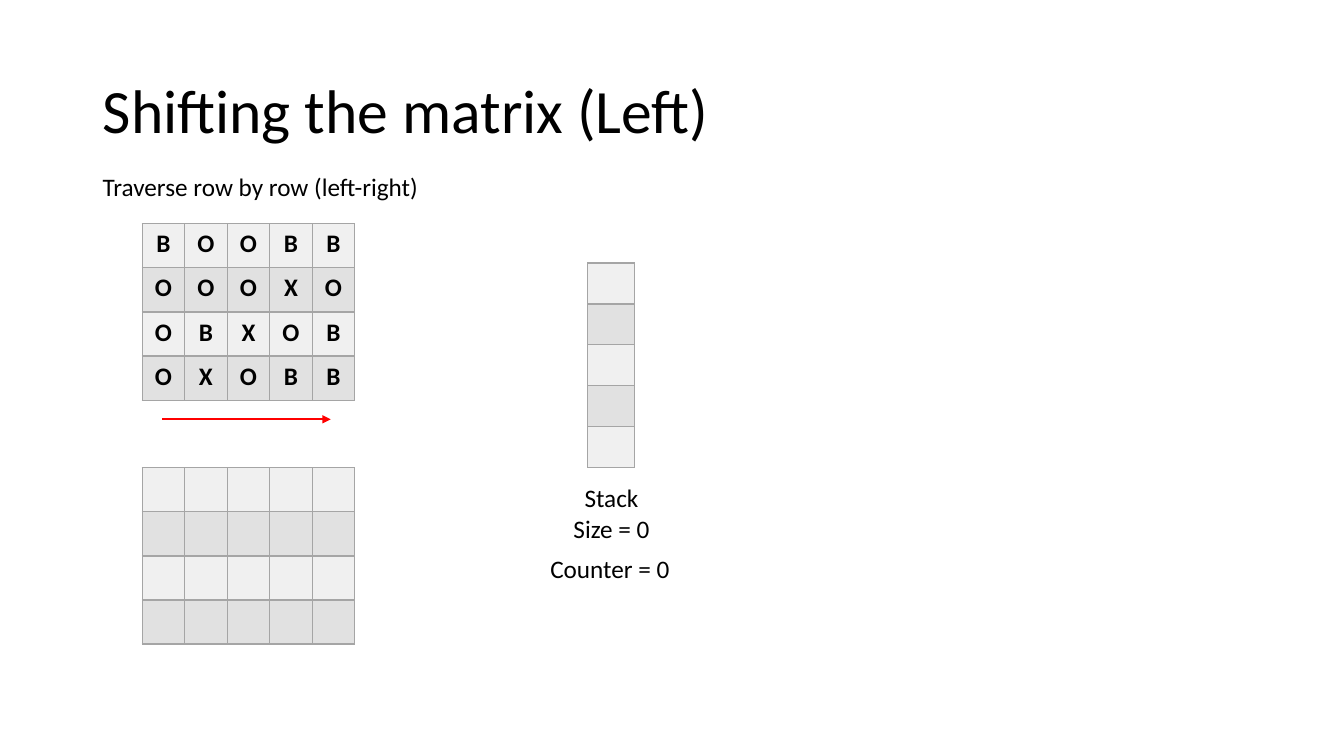
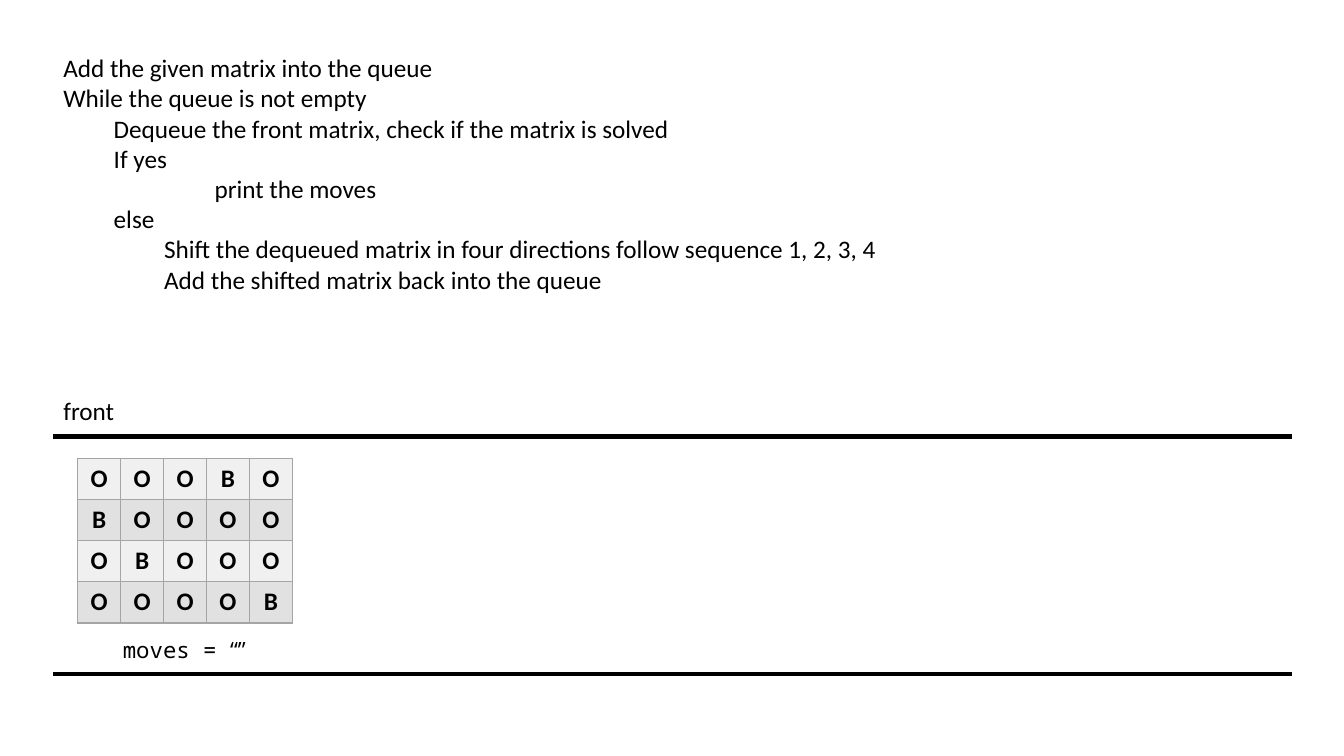
from dataclasses import dataclass

from lxml import etree
from pptx import Presentation
from pptx.dml.color import RGBColor
from pptx.enum import shapes, text
from pptx.oxml import ns
from pptx.slide import Slide
from pptx.util import Inches, Pt

BODY_FONT = "Calibri"
MONO_FONT = "Noto Sans Mono"
QUOTE_FONT = "Open Sans"
INK = "000000"
GRID = "A5A5A5"
BANDS = ("F0F0F0", "E1E1E1")
RED = "FF0000"
INDENT = 0.5
EMPTY_MATRIX = (" " * 5,) * 4


@dataclass(frozen=True)
class Span:
    words: str
    size: float = 18
    font: str = BODY_FONT
    bold: bool = False


@dataclass(frozen=True)
class Line:
    spans: tuple[Span, ...]
    level: int = 0


@dataclass(frozen=True)
class Note:
    left: float
    top: float
    width: float
    height: float
    lines: tuple[Line, ...]
    centred: bool = False


@dataclass(frozen=True)
class Matrix:
    left: float
    top: float
    width: float
    height: float
    rows: tuple[str, ...]


@dataclass(frozen=True)
class Rule:
    left: float
    right: float
    y: float
    colour: str
    weight: float
    arrow: bool = False


def rgb(colour: str) -> RGBColor:
    return RGBColor.from_string(colour)


def plain(words: str, level: int = 0) -> Line:
    return Line((Span(words),), level)


def add_span(paragraph, span: Span) -> None:
    run = paragraph.add_run()
    run.text = span.words
    run.font.name = span.font
    run.font.size = Pt(span.size)
    run.font.bold = span.bold
    run.font.color.rgb = rgb(INK)


def set_title(slide: Slide, words: str) -> None:
    title = slide.shapes.title
    title.left, title.top = Inches(0.92), Inches(0.4)
    title.width, title.height = Inches(11.5), Inches(1.45)
    title.text_frame.vertical_anchor = text.MSO_ANCHOR.MIDDLE
    heading = title.text_frame.paragraphs[0]
    heading.alignment = text.PP_ALIGN.LEFT
    heading.line_spacing = 0.9
    add_span(heading, Span(words, 44))


def draw_note(slide: Slide, note: Note) -> None:
    frame = slide.shapes.add_textbox(
        Inches(note.left), Inches(note.top), Inches(note.width), Inches(note.height)
    ).text_frame
    frame.word_wrap = False
    frame.auto_size = text.MSO_AUTO_SIZE.SHAPE_TO_FIT_TEXT
    for index, line in enumerate(note.lines):
        paragraph = frame.add_paragraph() if index else frame.paragraphs[0]
        paragraph.alignment = text.PP_ALIGN.CENTER if note.centred else text.PP_ALIGN.LEFT
        if line.level:
            paragraph.level = line.level
            properties = paragraph._p.get_or_add_pPr()
            properties.set("marL", str(Inches(INDENT * line.level)))
            properties.set("indent", "0")
        for span in line.spans:
            add_span(paragraph, span)


def border_cell(cell) -> None:
    properties = cell._tc.get_or_add_tcPr()
    for position, side in enumerate(("lnL", "lnR", "lnT", "lnB")):
        border = etree.Element(ns.qn(f"a:{side}"), w=str(Pt(1)))
        fill = etree.SubElement(border, ns.qn("a:solidFill"))
        etree.SubElement(fill, ns.qn("a:srgbClr"), val=GRID)
        properties.insert(position, border)


def draw_matrix(slide: Slide, matrix: Matrix) -> None:
    row_count, column_count = len(matrix.rows), len(matrix.rows[0])
    table = slide.shapes.add_table(
        row_count, column_count,
        Inches(matrix.left), Inches(matrix.top), Inches(matrix.width), Inches(matrix.height),
    ).table
    table.first_row = False
    table.horz_banding = False
    for row_index, symbols in enumerate(matrix.rows):
        for column_index, symbol in enumerate(symbols):
            cell = table.cell(row_index, column_index)
            cell.fill.solid()
            cell.fill.fore_color.rgb = rgb(BANDS[row_index % 2])
            border_cell(cell)
            if symbol != " ":
                paragraph = cell.text_frame.paragraphs[0]
                paragraph.alignment = text.PP_ALIGN.CENTER
                add_span(paragraph, Span(symbol, bold=True))


def draw_rule(slide: Slide, rule: Rule) -> None:
    connector = slide.shapes.add_connector(
        shapes.MSO_CONNECTOR.STRAIGHT,
        Inches(rule.left), Inches(rule.y), Inches(rule.right), Inches(rule.y),
    )
    connector.line.color.rgb = rgb(rule.colour)
    connector.line.width = Pt(rule.weight)
    if rule.arrow:
        etree.SubElement(connector.line._get_or_add_ln(), ns.qn("a:tailEnd"), type="triangle")
    etree.SubElement(connector._element.spPr, ns.qn("a:effectLst"))


def build_shift_slide(deck) -> None:
    slide = deck.slides.add_slide(deck.slide_layouts.get_by_name("Title Only"))
    set_title(slide, "Shifting the matrix (Left)")
    draw_matrix(slide, Matrix(1.41, 2.22, 2.11, 1.75, ("BOOBB", "OOOXO", "OBXOB", "OXOBB")))
    draw_note(slide, Note(0.92, 1.65, 3.38, 0.4, (plain("Traverse row by row (left-right)"),)))
    draw_matrix(slide, Matrix(1.41, 4.64, 2.11, 1.75, EMPTY_MATRIX))
    draw_matrix(slide, Matrix(5.83, 2.61, 0.46, 2.03, (" ",) * 5))
    draw_note(slide, Note(5.58, 4.74, 0.97, 0.71, (plain("Stack"), plain("Size = 0")), centred=True))
    draw_note(slide, Note(5.36, 5.44, 1.4, 0.4, (plain("Counter = 0"),)))
    draw_rule(slide, Rule(1.61, 3.28, 4.16, RED, 1.5, arrow=True))


def build_queue_slide(deck) -> None:
    slide = deck.slides.add_slide(deck.slide_layouts.get_by_name("Blank"))
    draw_matrix(slide, Matrix(0.77, 4.55, 2.13, 1.63, ("OOOBO", "BOOOO", "OBOOO", "OOOOB")))
    moves = Line((Span("moves = ", 16, MONO_FONT), Span("“”", 16, QUOTE_FONT)))
    draw_note(slide, Note(1.12, 6.26, 1.44, 0.37, (moves,)))
    algorithm = (
        plain("Add the given matrix into the queue"),
        plain("While the queue is not empty"),
        plain("Dequeue the front matrix, check if the matrix is solved", 1),
        plain("If yes", 1),
        plain("print the moves", 3),
        plain("else", 1),
        plain("Shift the dequeued matrix in four directions follow sequence 1, 2, 3, 4", 2),
        plain("Add the shifted matrix back into the queue", 2),
    )
    draw_note(slide, Note(0.53, 0.47, 8.37, 2.52, algorithm))
    for queue_edge in (4.33, 6.69):
        draw_rule(slide, Rule(0.53, 12.81, queue_edge, INK, 3))
    draw_note(slide, Note(0.53, 3.87, 0.71, 0.4, (plain("front"),)))


def main() -> None:
    deck = Presentation()
    deck.slide_width, deck.slide_height = Inches(13.33), Inches(7.5)
    build_shift_slide(deck)
    build_queue_slide(deck)
    deck.save("out.pptx")


if __name__ == "__main__":
    main()
